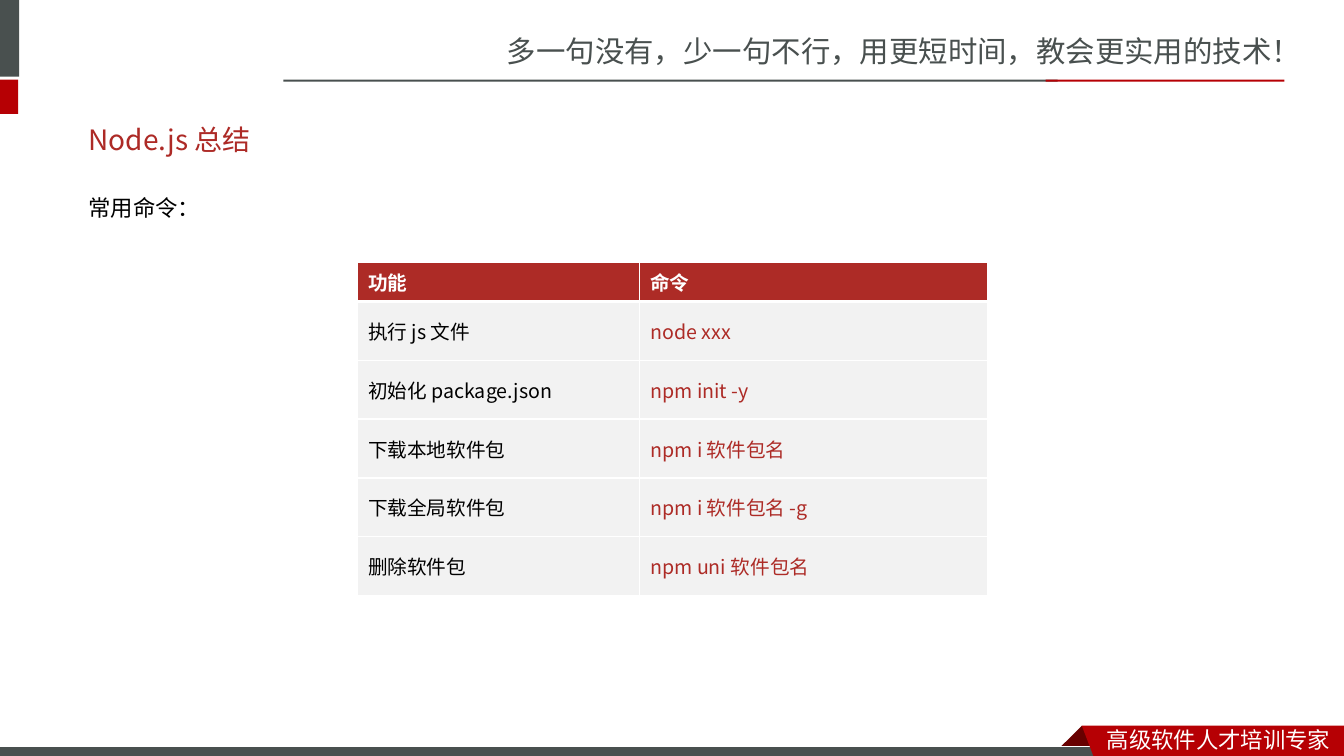
from pptx import Presentation
from pptx import util as u
from pptx.dml.color import RGBColor
from pptx.enum import shapes, text
from pptx.oxml import ns, xmlchemy

WIDTH, HEIGHT = 13.33, 7.5
GREY, RED, DARK_RED, WHITE, BLACK = "49504F", "B60004", "680000", "FFFFFF", "000000"
TITLE_RED, TABLE_RED, CELL_GREY = "AD2A26", "AD2B26", "F2F2F2"
SANS, BODY_SANS = "Noto Sans CJK SC", "Noto Sans CJK JP"
COMMANDS = [
    ("功能", "命令"),
    ("执行 js 文件", "node xxx"),
    ("初始化 package.json", "npm init -y"),
    ("下载本地软件包", "npm i 软件包名"),
    ("下载全局软件包", "npm i 软件包名 -g"),
    ("删除软件包", "npm uni 软件包名"),
]


def inches(*lengths):
    """Convert lengths in inches to slide units."""
    return [u.Inches(length) for length in lengths]


def paint(fill, color):
    """Give a fill one solid colour."""
    fill.solid()
    fill.fore_color.rgb = RGBColor.from_string(color)


def write(frame, words, size, color, face, bold=False):
    """Write one left-aligned paragraph and return it."""
    frame.word_wrap = True
    para = frame.paragraphs[0]
    para.text = words
    para.alignment = text.PP_ALIGN.LEFT
    font = para.font
    font.name, font.size, font.bold = face, u.Pt(size), bold
    font.color.rgb = RGBColor.from_string(color)
    east_asian = xmlchemy.OxmlElement("a:ea")
    east_asian.set("typeface", face)
    font._element.find(ns.qn("a:latin")).addnext(east_asian)
    return para


def add_text(page, box, *style):
    """Add a text box with one styled paragraph and return the paragraph."""
    return write(page.shapes.add_textbox(*inches(*box)).text_frame, *style)


def add_bar(page, box, color):
    """Add a plain filled rectangle."""
    bar = page.shapes.add_shape(shapes.MSO_SHAPE.RECTANGLE, *inches(*box))
    bar.shadow.inherit = False
    paint(bar.fill, color)
    bar.line.fill.background()
    return bar


def add_outline(page, points, color):
    """Add a filled polygon through points given in inches."""
    start, *corners = [inches(*point) for point in points]
    builder = page.shapes.build_freeform(*start)
    builder.add_line_segments(corners, close=True)
    outline = builder.convert_to_shape()
    outline.shadow.inherit = False
    paint(outline.fill, color)
    outline.line.fill.background()


def add_header(page, box):
    """Place the slogan, its two-colour rule and the left edge marks."""
    left, top, width, height = box
    rule = top + height
    add_text(page, (left + 2.12, top + 0.28, WIDTH - left - 2.12, 0.47),
             "多一句没有，少一句不行，用更短时间，教会更实用的技术！", 21, GREY, SANS)
    add_bar(page, (-0.06, top, 0.25, 0.76), GREY)
    add_bar(page, (-0.06, rule, 0.24, 0.34), RED)
    add_bar(page, (left, rule, width - 2.25, 0.02), GREY)
    add_bar(page, (left + width - 2.37, rule, 2.37, 0.02), RED)


def add_footer(page, box):
    """Place the bottom strip and its folded ribbon."""
    left, top, width, height = box
    right, bottom = left + width, top + height
    fold = left - 0.22
    add_outline(page, [(left, top), (left + 0.22, top + 0.22), (left + 0.21, top + 0.23),
                       (fold + 0.01, top + 0.23), (fold, top + 0.22)], DARK_RED)
    strip = add_bar(page, (-0.01, top + 0.21, 11, 0.12), GREY)
    paint(strip.line.fill, WHITE)
    strip.line.width = u.Pt(0.75)
    add_outline(page, [(left, top), (right, top), (right, bottom), (left + 0.13, bottom)], RED)
    add_text(page, (left + 0.15, top - 0.05, width - 0.15, 0.37),
             "高级软件人才培训专家", 16, WHITE, SANS)


def add_heading(page, box):
    """Place the slide title and the line that introduces the table."""
    left, top, width, height = box
    title = page.shapes.title
    title.left, title.top, title.width, title.height = inches(*box)
    title.text_frame.vertical_anchor = text.MSO_ANCHOR.MIDDLE
    write(title.text_frame, "Node.js 总结", 20, TITLE_RED, BODY_SANS)
    intro = add_text(page, (left, top + height + 0.07, width, 0.6),
                     "常用命令：", 16, BLACK, BODY_SANS)
    intro.line_spacing = 1.5
    intro.space_before = u.Pt(3.2)


def add_borders(cell, bottom_width):
    """Draw white borders around a table cell."""
    properties = cell._tc.get_or_add_tcPr()
    for index, side in enumerate(("lnL", "lnR", "lnT", "lnB")):
        border = xmlchemy.OxmlElement(f"a:{side}")
        border.set("w", str(u.Pt(bottom_width if side == "lnB" else 1)))
        fill = xmlchemy.OxmlElement("a:solidFill")
        color = xmlchemy.OxmlElement("a:srgbClr")
        color.set("val", WHITE)
        fill.append(color)
        border.append(fill)
        properties.insert(index, border)


def add_commands(page, box):
    """Place the table of commands with a red header row."""
    left, top, width, height = box
    header = 0.39
    row_height = (height - header) / (len(COMMANDS) - 1)
    table = page.shapes.add_table(len(COMMANDS), 2, *inches(*box)).table
    for column, share in zip(table.columns, (0.448, 0.552)):
        column.width = u.Inches(width * share)
    for r, entry in enumerate(COMMANDS):
        table.rows[r].height = u.Inches(row_height if r else header)
        for c, words in enumerate(entry):
            cell = table.cell(r, c)
            cell.vertical_anchor = text.MSO_ANCHOR.MIDDLE
            cell.margin_left = cell.margin_right = u.Inches(0.11)
            paint(cell.fill, CELL_GREY if r else TABLE_RED)
            color = (BLACK, TABLE_RED)[c] if r else WHITE
            write(cell.text_frame, words, 14, color, BODY_SANS, bold=r == 0)
            add_borders(cell, 1 if r else 3)


def main():
    """Build the slide and save it."""
    deck = Presentation()
    deck.slide_width, deck.slide_height = inches(WIDTH, HEIGHT)
    page = deck.slides.add_slide(deck.slide_layouts[5])
    add_header(page, (2.81, 0, 9.93, 0.79))
    add_footer(page, (10.73, 7.2, 2.6, 0.34))
    add_heading(page, (0.78, 1.1, 11.75, 0.57))
    add_commands(page, (3.54, 2.6, 6.25, 3.31))
    deck.save("out.pptx")


if __name__ == "__main__":
    main()
